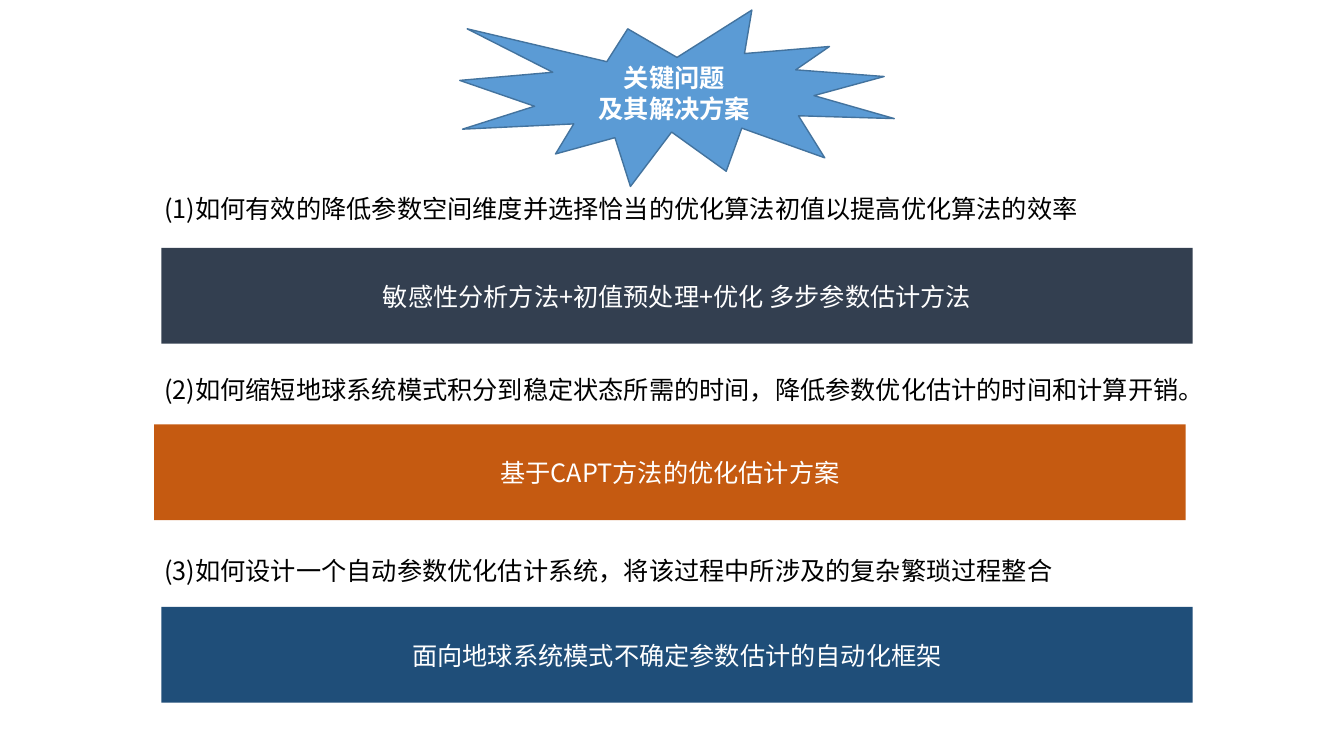
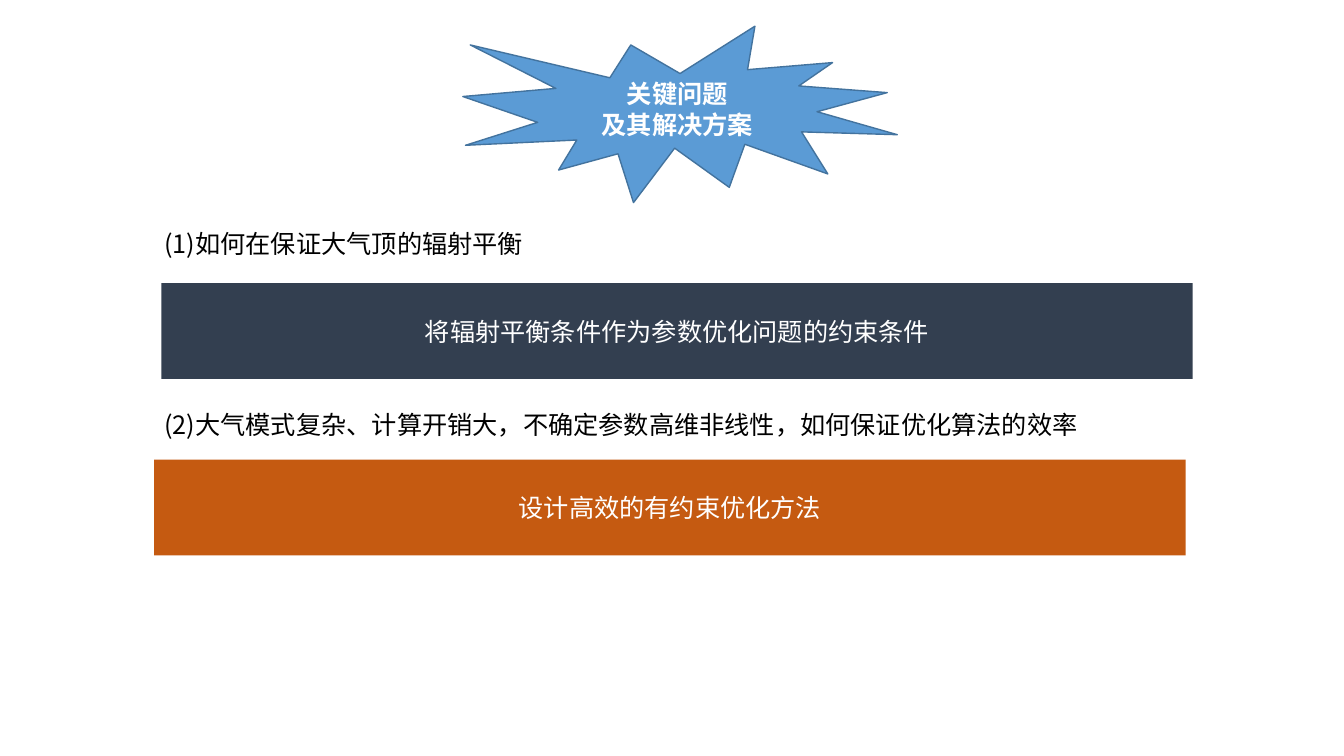
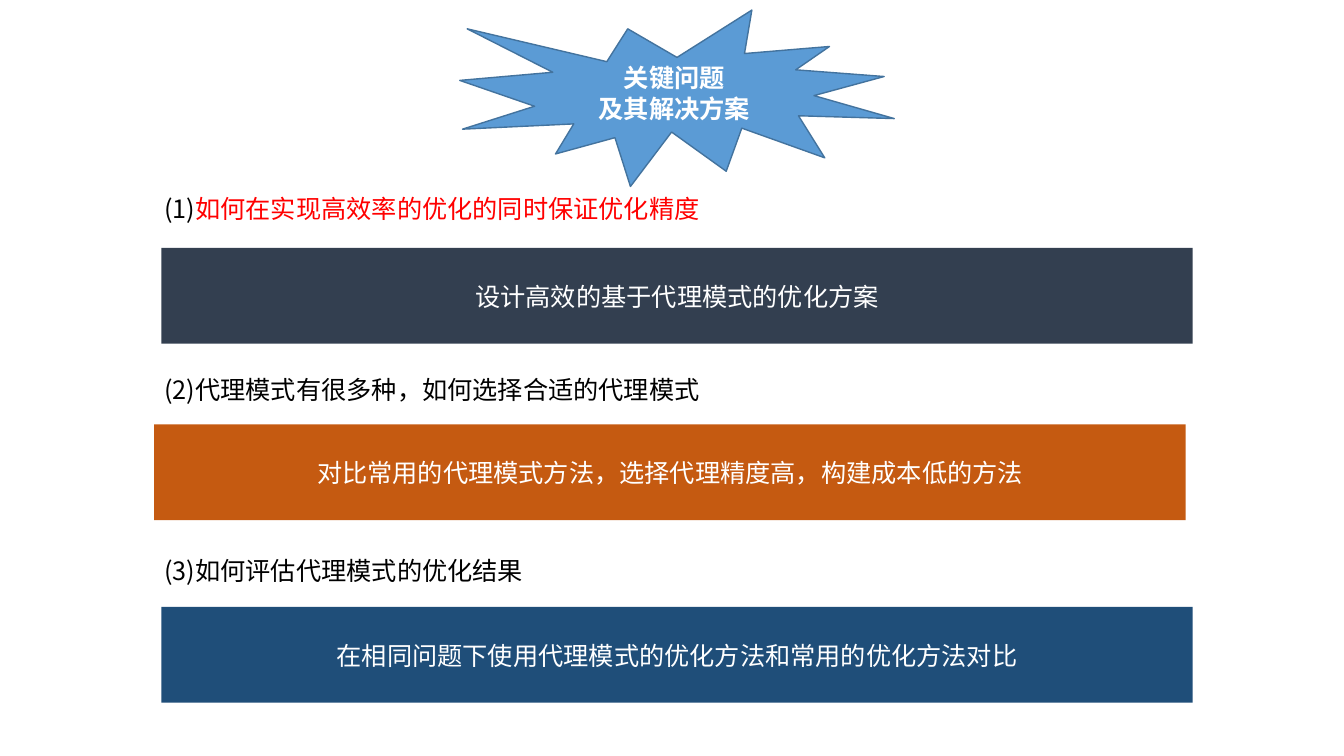
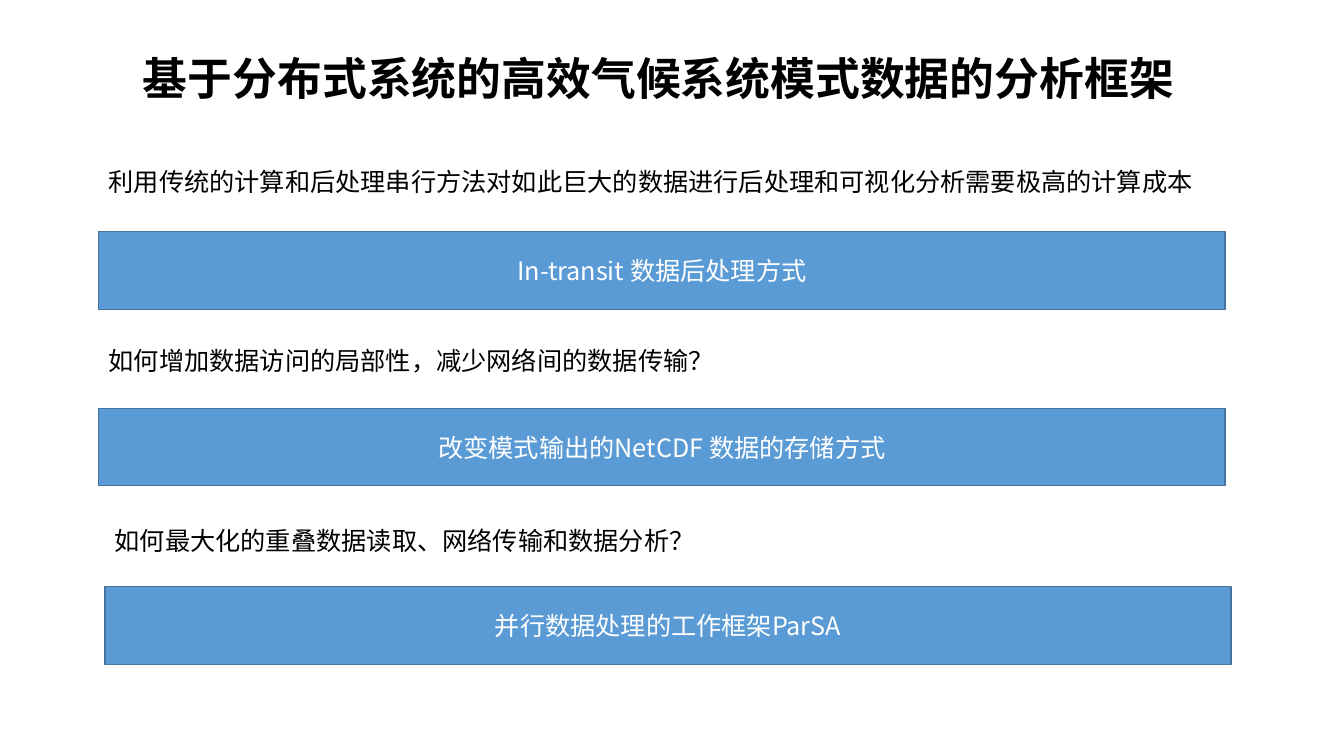
from lxml import etree
from pptx import Presentation
from pptx import util as u
from pptx.dml.color import RGBColor
from pptx.enum import shapes, text
from pptx.oxml import ns

COLORS = {
    "black": "000000", "white": "FFFFFF", "red": "FF0000",
    "navy": "333F50", "orange": "C55A11", "deep": "1F4E79",
    "blue": "5B9BD5", "edge": "43739E",
}
FONT = "Noto Sans CJK SC"
BODY_SIZE, BODY_LINE, QUESTION_GAP = 18, 22, 107.5

# Answer bars on the problem slides: left, distance below the list, colour
ANSWER_BARS = [(1.6, 0.6, "navy"), (1.53, 2.35, "orange"), (1.6, 4.16, "deep")]


def rgb(name):
    return RGBColor.from_string(COLORS[name])


class Deck:
    """Holds the shared style and the slide being built."""

    def __init__(self):
        self.prs = Presentation()
        self.prs.slide_width = u.Inches(13.33)
        self.prs.slide_height = u.Inches(7.5)
        self.s = None

    def new_slide(self, layout):
        self.s = self.prs.slides.add_slide(self.prs.slide_layouts[layout])

    def place(self, sp, x, y, w, h):
        sp.left, sp.top = u.Inches(x), u.Inches(y)
        sp.width, sp.height = u.Inches(w), u.Inches(h)

    def style_run(self, r, color, size=BODY_SIZE, bold=False, latin=FONT):
        r.font.name = latin
        r.font.size = u.Pt(size)
        r.font.bold = bold
        r.font.color.rgb = rgb(color)
        ea = etree.Element(ns.qn("a:ea"), typeface=FONT)
        r.font._element.find(ns.qn("a:latin")).addnext(ea)

    def style_text(self, tf, color, align=text.PP_ALIGN.LEFT, bold=False):
        tf.word_wrap = True
        for p in tf.paragraphs:
            p.alignment = align
            p.line_spacing = u.Pt(BODY_LINE)
            for r in p.runs:
                self.style_run(r, color, bold=bold)

    def title(self, words, x, y, w, h):
        sp = self.s.shapes.title
        self.place(sp, x, y, w, h)
        tf = sp.text_frame
        tf.text = words
        tf.auto_size = text.MSO_AUTO_SIZE.NONE
        tf.vertical_anchor = text.MSO_ANCHOR.MIDDLE
        tf.margin_top = tf.margin_bottom = 0
        p = tf.paragraphs[0]
        p.alignment = text.PP_ALIGN.CENTER
        self.style_run(p.runs[0], "black", 32, True, "Calibri")

    def questions(self, items, x, y, w, h, red=None):
        """Numbered list in the body placeholder; red is the number to stress."""
        sp = self.s.placeholders[1]
        self.place(sp, x, y, w, h)
        tf = sp.text_frame
        tf.word_wrap = True
        tf.auto_size = text.MSO_AUTO_SIZE.NONE
        tf.vertical_anchor = text.MSO_ANCHOR.TOP
        for n, item in enumerate(items, 1):
            p = tf.paragraphs[0] if n == 1 else tf.add_paragraph()
            pPr = p._p.get_or_add_pPr()
            pPr.set("marL", "0")
            pPr.set("indent", "0")
            etree.SubElement(pPr, ns.qn("a:buNone"))
            p.line_spacing = u.Pt(BODY_LINE)
            p.space_before = u.Pt(0 if n == 1 else QUESTION_GAP)
            for words, color in ((f"({n})", "black"),
                                 (item, "red" if n == red else "black")):
                r = p.add_run()
                r.text = words
                self.style_run(r, color)

    def label(self, words, x, y, w, h):
        tf = self.s.shapes.add_textbox(*map(u.Inches, (x, y, w, h))).text_frame
        tf.text = words
        self.style_text(tf, "black")

    def shape(self, kind, words, x, y, w, h, fill, line=None, bold=False):
        sp = self.s.shapes.add_shape(kind, *map(u.Inches, (x, y, w, h)))
        sp.shadow.inherit = False
        sp.fill.solid()
        sp.fill.fore_color.rgb = rgb(fill)
        if line:
            sp.line.color.rgb = rgb(line)
            sp.line.width = u.Pt(1)
        else:
            sp.line.fill.background()
        tf = sp.text_frame
        tf.text = words
        tf.vertical_anchor = text.MSO_ANCHOR.MIDDLE
        self.style_text(tf, "white", text.PP_ALIGN.CENTER, bold)

    def bar(self, words, x, y, w, h, fill, line=None):
        self.shape(shapes.MSO_SHAPE.RECTANGLE, words, x, y, w, h, fill, line)

    def burst(self, x, y):
        self.shape(shapes.MSO_SHAPE.EXPLOSION1, "关键问题\n及其解决方案",
                   x, y, 4.31, 1.75, "blue", "edge", bold=True)

    def problem_slide(self, pairs, top=1.86, burst=(4.56, 0.1), red=None):
        """Burst heading, then questions with an answer bar under each."""
        self.new_slide(1)
        title = self.s.shapes.title._element
        title.getparent().remove(title)
        self.questions([q for q, _ in pairs], 1.53, top, 11.6, 4.04, red)
        for (_, answer), (x, dy, fill) in zip(pairs, ANSWER_BARS):
            self.bar(answer, x, top + dy, 10.23, 0.95, fill)
        self.burst(*burst)


def main():
    deck = Deck()

    # Slide 1: parameter estimation
    deck.problem_slide([
        ("如何有效的降低参数空间维度并选择恰当的优化算法初值以提⾼优化算法的效率",
         "敏感性分析方法+初值预处理+优化 多步参数估计方法"),
        ("如何缩短地球系统模式积分到稳定状态所需的时间，降低参数优化估计的时间和计算开销。",
         "基于CAPT方法的优化估计方案"),
        ("如何设计⼀个⾃动参数优化估计系统，将该过程中所涉及的复杂繁琐过程整合",
         "面向地球系统模式不确定参数估计的自动化框架"),
    ])

    # Slide 2: radiation balance
    deck.problem_slide([
        ("如何在保证大气顶的辐射平衡",
         "将辐射平衡条件作为参数优化问题的约束条件"),
        ("大气模式复杂、计算开销大，不确定参数高维非线性，如何保证优化算法的效率",
         "设计高效的有约束优化方法"),
    ], top=2.21, burst=(4.59, 0.26))

    # Slide 3: surrogate models
    deck.problem_slide([
        ("如何在实现高效率的优化的同时保证优化精度",
         "设计高效的基于代理模式的优化方案"),
        ("代理模式有很多种，如何选择合适的代理模式",
         "对比常用的代理模式方法，选择代理精度高，构建成本低的方法"),
        ("如何评估代理模式的优化结果",
         "在相同问题下使用代理模式的优化方法和常用的优化方法对比"),
    ], red=1)

    # Slide 4: data analysis framework
    deck.new_slide(5)
    deck.title("基于分布式系统的高效气候系统模式数据的分析框架",
               1.13, 0.45, 10.81, 0.64)
    rows = [
        ("利⽤传统的计算和后处理串⾏⽅法对如此巨⼤的数据进⾏后处理和可视化分析需要极⾼的计算成本",
         "In-transit 数据后处理⽅式", 0.98, 1.6, 2.3),
        ("如何增加数据访问的局部性，减少网络间的数据传输？",
         "改变模式输出的NetCDF 数据的存储⽅式", 0.98, 3.37, 4.05),
        ("如何最大化的重叠数据读取、网络传输和数据分析？",
         "并⾏数据处理的⼯作框架ParSA", 1.04, 5.16, 5.82),
    ]
    for question, answer, x, label_y, bar_y in rows:
        deck.label(question, x, label_y, 11.23, 0.4)
        deck.bar(answer, x, bar_y, 11.17, 0.77, "blue", "edge")

    deck.prs.save("out.pptx")


if __name__ == "__main__":
    main()
